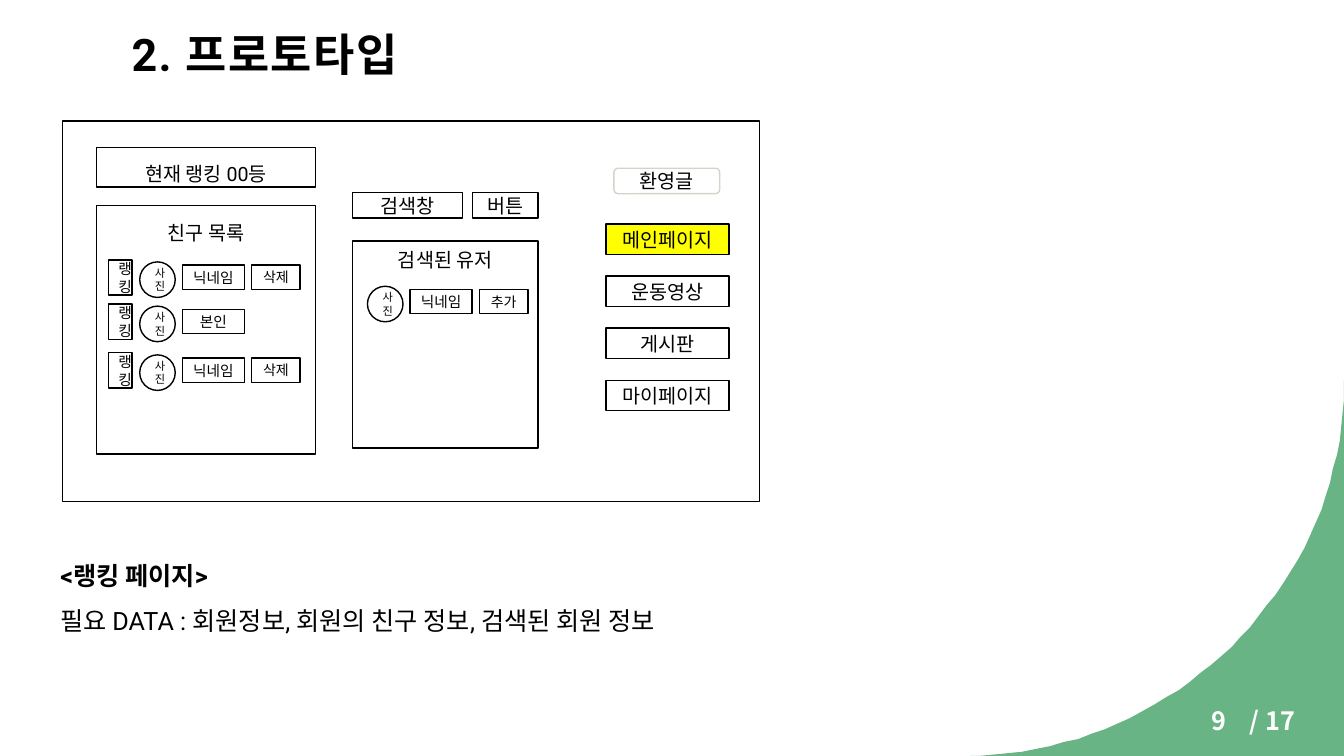
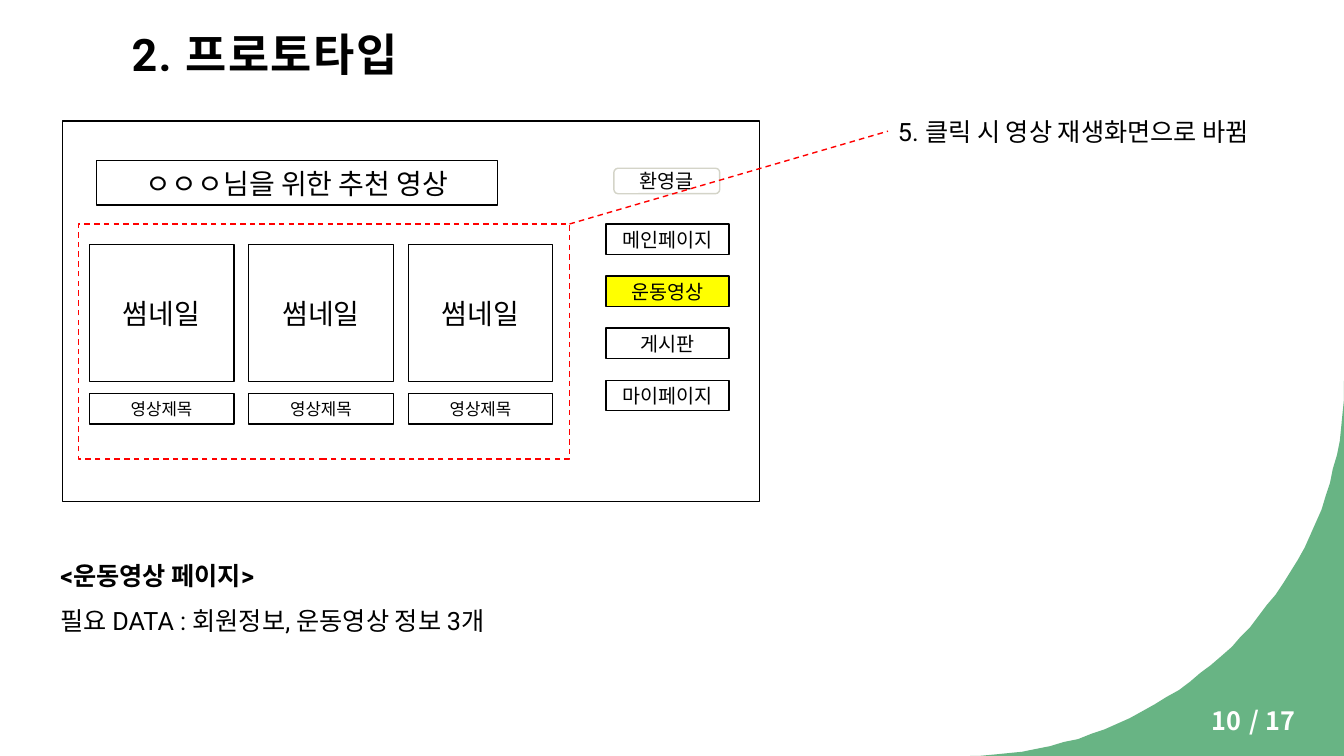
from lxml import etree
from pptx import Presentation
from pptx.dml.color import RGBColor
from pptx.enum.dml import MSO_LINE
from pptx.enum.shapes import MSO_CONNECTOR, MSO_SHAPE
from pptx.enum.text import MSO_ANCHOR, MSO_AUTO_SIZE, PP_ALIGN
from pptx.oxml.ns import qn
from pptx.util import Pt

RECT, ROUND, OVAL = MSO_SHAPE.RECTANGLE, MSO_SHAPE.ROUNDED_RECTANGLE, MSO_SHAPE.OVAL
STRAIGHT, DASH = MSO_CONNECTOR.STRAIGHT, MSO_LINE.DASH
LEFT, CENTER = PP_ALIGN.LEFT, PP_ALIGN.CENTER
TOP, MIDDLE, BOTTOM = MSO_ANCHOR.TOP, MSO_ANCHOR.MIDDLE, MSO_ANCHOR.BOTTOM
NO_FIT = MSO_AUTO_SIZE.NONE

NOTO, ROBOTO = "Noto Sans CJK KR", "Roboto"
BLACK, WHITE, GREEN = "000000", "FFFFFF", "68B484"
YELLOW, RED, GREY = "FFFF00", "FF0000", "D4D4C8"
W, H = 960, 540
TITLE_ONLY = 5
MENU = ["메인페이지", "운동영상", "게시판", "마이페이지"]


def rgb(value):
    return RGBColor.from_string(value)


def write(p, text, size=14, font=NOTO, color=BLACK, bold=False,
          align=LEFT, spacing=None, tracking=None):
    """Add one formatted run to a paragraph; tracking is in points."""
    p.alignment = align
    if spacing:
        p.line_spacing = spacing
    r = p.add_run()
    r.text = text
    r.font.size, r.font.name, r.font.bold = Pt(size), font, bold
    r.font.color.rgb = rgb(color)
    rPr = r.font._element
    etree.SubElement(rPr, qn("a:ea")).set("typeface", NOTO)
    if tracking:
        rPr.set("spc", str(tracking * 100))


def bezier(p0, p1, p2, p3, steps=40):
    """Points along a cubic curve, without its first point."""
    points = []
    for i in range(1, steps + 1):
        t = i / steps
        u = 1 - t
        points.append(tuple(u**3 * a + 3 * u * u * t * b + 3 * u * t * t * c + t**3 * d
                            for a, b, c, d in zip(p0, p1, p2, p3)))
    return points


class Deck:
    def __init__(self):
        self.prs = Presentation()
        self.prs.slide_width, self.prs.slide_height = Pt(W), Pt(H)
        self.s = None

    def slide(self, title, number, total):
        self.s = self.prs.slides.add_slide(self.prs.slide_layouts[TITLE_ONLY])
        self.corner()
        self.title(title)
        self.text(885.6, 500.4, 74, 29, [f"/ {total}"], size=18, color=WHITE, bold=True)
        self.text(858.2, 500.4, 83, 29, [str(number)], size=18, color=WHITE, bold=True)

    def title(self, text):
        sp = self.s.shapes.title
        sp.left, sp.top, sp.width, sp.height = Pt(85), Pt(17.3), Pt(783), Pt(47.5)
        tf = sp.text_frame
        tf.auto_size, tf.vertical_anchor = NO_FIT, BOTTOM
        tf.margin_left = tf.margin_top = tf.margin_right = Pt(9)
        tf.margin_bottom = Pt(7)
        write(tf.paragraphs[0], text, size=32, font=ROBOTO, bold=True,
              spacing=1.1, tracking=1)

    def corner(self):
        start = (699, H)
        fb = self.s.shapes.build_freeform(W, 272, scale=Pt(1))
        curve = bezier(start, (840, 534), (952.5, 422.6), (W, 285))
        fb.add_line_segments([(W, H), (693, H), start, *curve])
        self.style(fb.convert_to_shape(), GREEN, None)

    def style(self, sp, fill, line, dash=None):
        sp.shadow.inherit = False
        if fill:
            sp.fill.solid()
            sp.fill.fore_color.rgb = rgb(fill)
        else:
            sp.fill.background()
        if line:
            self.stroke(sp.line, line, dash)
        else:
            sp.line.fill.background()

    def stroke(self, line, color, dash=None):
        line.color.rgb = rgb(color)
        line.width = Pt(1)
        if dash:
            line.dash_style = dash

    def box(self, x, y, w, h, text="", shape=RECT, fill=WHITE, line=BLACK,
            dash=None, top=None, **fmt):
        """Outlined shape; top puts the text that far below the upper edge."""
        sp = self.s.shapes.add_shape(shape, Pt(x), Pt(y), Pt(w), Pt(h))
        self.style(sp, fill, line, dash)
        if text:
            tf = sp.text_frame
            tf.word_wrap = True
            tf.vertical_anchor = MIDDLE if top is None else TOP
            if top is not None:
                tf.margin_top = Pt(top)
            write(tf.paragraphs[0], text, align=CENTER, **fmt)
        return sp

    def text(self, x, y, w, h, lines, bold_first=False, **fmt):
        sp = self.s.shapes.add_textbox(Pt(x), Pt(y), Pt(w), Pt(h))
        tf = sp.text_frame
        tf.word_wrap = True
        for i, line in enumerate(lines):
            p = tf.add_paragraph() if i else tf.paragraphs[0]
            write(p, line, **({**fmt, "bold": i == 0} if bold_first else fmt))
        return sp

    def callout(self, x, y, label):
        """Dashed line from a point to the left side of a label."""
        c = self.s.shapes.add_connector(STRAIGHT, Pt(x), Pt(y), label.left, label.top)
        c.end_connect(label, 1)
        self.stroke(c.line, RED, DASH)
        etree.SubElement(c._element.spPr, qn("a:effectLst"))

    def caption(self, page, data):
        self.text(36, 386, 661, 69, [f"<{page}>", f"필요 DATA : {data}"],
                  bold_first=True, size=18, font=ROBOTO, spacing=1.5)

    def screen(self, active):
        """Browser frame with the greeting and the menu, one entry lit."""
        self.box(44.8, 86.4, 497.6, 272)
        self.box(438.5, 120.2, 75.6, 18.2, "환영글", shape=ROUND, line=GREY)
        for i, name in enumerate(MENU):
            self.box(432.9, 160 + 37.2 * i, 87.8, 21.8, name,
                     fill=YELLOW if name == active else WHITE)

    def user(self, x, y, name, action=None):
        """Photo, name and optional button of one user."""
        self.box(x, y, 25.4, 25.4, "사진", shape=OVAL, size=8, font=ROBOTO)
        self.box(x + 30.5, y + 2.3, 44.2, 17.4, name, size=10.5, font=ROBOTO)
        if action:
            self.box(x + 80, y + 2.3, 34.6, 17.4, action, size=10, font=ROBOTO)


def ranking_slide(deck):
    deck.slide("2. 프로토타입", 9, 17)
    deck.screen("메인페이지")
    deck.box(69, 105.4, 156.4, 28.2, "현재 랭킹 00등", font=ROBOTO, spacing=1.5)
    deck.box(69, 146.9, 156.4, 177.4, "친구 목록", top=11, font=ROBOTO)
    friends = [(185.6, "닉네임", "삭제"), (217.2, "본인", None), (252, "닉네임", "삭제")]
    for y, name, action in friends:
        deck.box(77.5, y, 16.8, 25.2, "랭킹", size=10.5, font=ROBOTO)
        deck.user(99.8, y + 1.5, name, action)
    deck.box(252, 137.5, 78.2, 18.2, "검색창")
    deck.box(337.5, 137.5, 46.8, 18.2, "버튼")
    deck.box(252, 172, 132.3, 148, "검색된 유저", top=5)
    deck.user(262.5, 204.5, "닉네임", "추가")
    deck.caption("랭킹 페이지", "회원정보, 회원의 친구 정보, 검색된 회원 정보")


def video_slide(deck):
    deck.slide("2. 프로토타입", 10, 17)
    deck.screen("운동영상")
    deck.box(69, 114.9, 286.6, 31.7, "ㅇㅇㅇ님을 위한 추천 영상", size=20)
    for i in range(3):
        x = 63.8 + 113.9 * i
        deck.box(x, 174.7, 103.3, 97.8, "썸네일", size=20)
        deck.box(x, 281, 103.3, 21.8, "영상제목", size=12)
    deck.box(56.2, 160, 350.6, 167.8, fill=None, line=RED, dash=DASH)
    label = deck.text(634.3, 79.2, 279.4, 29, ["5. 클릭 시 영상 재생화면으로 바뀜"],
                      size=18, font=ROBOTO)
    deck.callout(406.8, 160, label)
    deck.caption("운동영상 페이지", "회원정보, 운동영상 정보 3개")


def main():
    deck = Deck()
    ranking_slide(deck)
    video_slide(deck)
    deck.prs.save("out.pptx")


if __name__ == "__main__":
    main()
